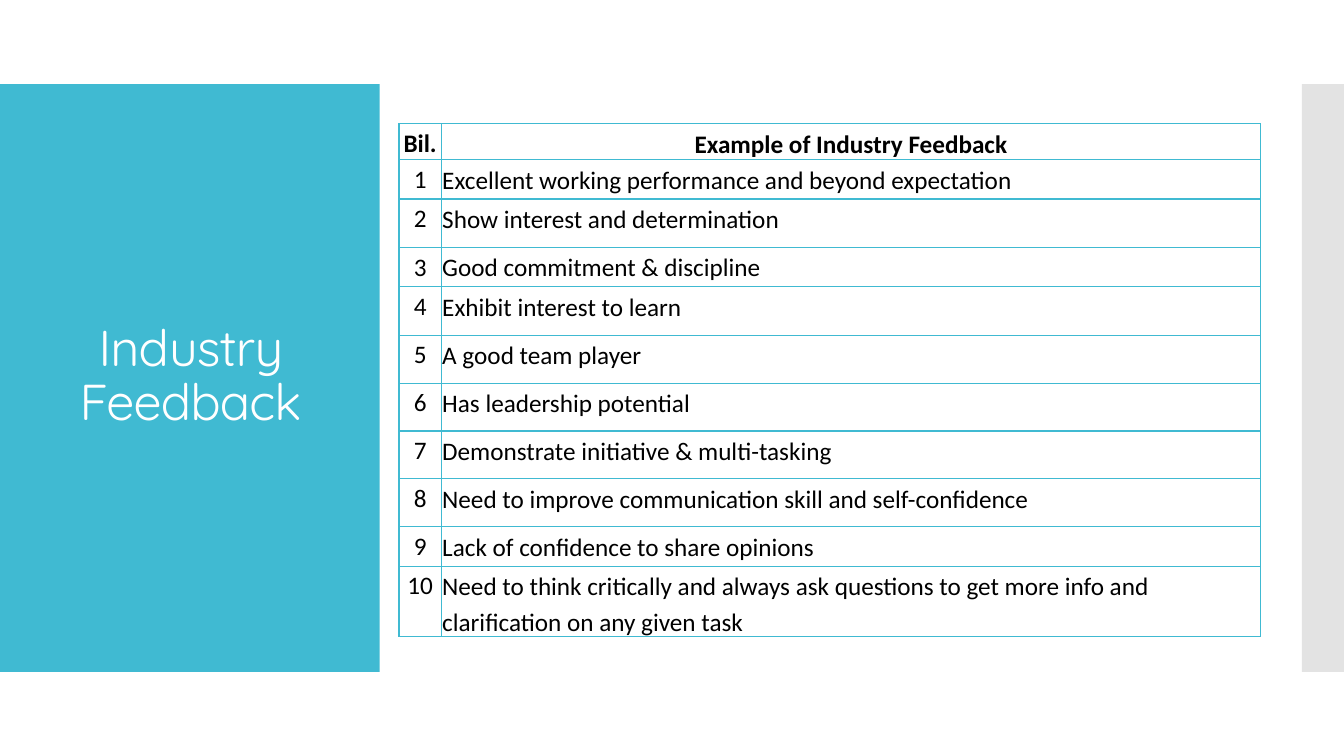
from dataclasses import dataclass

from lxml import etree
from pptx import Presentation
from pptx.dml.color import RGBColor
from pptx.enum.shapes import MSO_SHAPE
from pptx.enum.text import MSO_ANCHOR, PP_ALIGN
from pptx.oxml.ns import qn
from pptx.util import Pt

RECTANGLE = MSO_SHAPE.RECTANGLE
TOP, MIDDLE, BOTTOM = MSO_ANCHOR.TOP, MSO_ANCHOR.MIDDLE, MSO_ANCHOR.BOTTOM
LEFT, CENTER = PP_ALIGN.LEFT, PP_ALIGN.CENTER


@dataclass(frozen=True)
class Theme:
    accent: str = "40BAD2"
    edge: str = "C8C8C8"
    light: str = "FFFFFF"
    ink: str = "000000"
    title_font: str = "Quicksand"
    body_font: str = "Calibri"
    title_size: int = 36
    body_size: int = 18


THEME = Theme()
SLIDE_SIZE = (960, 540)
BAND_TOP, BAND_HEIGHT = 60, 420
COLUMN_WIDTHS = (30.24, 585.36)
ROW_HEIGHTS = (24, 28.2, 34.6, 28.2, 34.6, 34.2, 34.2, 34.2, 34.2, 28.2, 38)
HEADER = ("Bil.", "Example of Industry Feedback")
FEEDBACK = (
    "Excellent working performance and beyond expectation",
    "Show interest and determination",
    "Good commitment & discipline",
    "Exhibit interest to learn",
    "A good team player",
    "Has leadership potential",
    "Demonstrate initiative & multi-tasking",
    "Need to improve communication skill and self-confidence",
    "Lack of confidence to share opinions",
    "Need to think critically and always ask questions to get more info and "
    "clarification on any given task",
)


def apply_format(target, values):
    for name, value in values.items():
        setattr(target, name, value)


def write_text(frame, text, color, alignment, line_spacing, font):
    para = frame.paragraphs[0]
    apply_format(para, {"alignment": alignment, "line_spacing": line_spacing})
    span = para.add_run()
    span.text = text
    apply_format(span.font, font)
    span.font.color.rgb = RGBColor.from_string(color)
    return span


def add_band(page, left, width, color, opacity=100):
    band = page.shapes.add_shape(
        RECTANGLE, Pt(left), Pt(BAND_TOP), Pt(width), Pt(BAND_HEIGHT)
    )
    band.shadow.inherit = False
    band.fill.solid()
    band.fill.fore_color.rgb = RGBColor.from_string(color)
    band.line.fill.background()
    if opacity < 100:
        color_node = band.fill._xPr.find(qn("a:solidFill"))[0]
        etree.SubElement(color_node, qn("a:alpha"), val=str(opacity * 1000))


def add_title(page, text):
    box = page.shapes.add_textbox(Pt(20.16), Pt(88.56), Pt(231.84), Pt(362.16))
    apply_format(box.text_frame, {"word_wrap": True, "vertical_anchor": MIDDLE})
    span = write_text(
        box.text_frame, text, THEME.light, CENTER, 0.9,
        {"name": THEME.title_font, "size": Pt(THEME.title_size)},
    )
    span.font._element.set("spc", "-60")


def add_borders(cell):
    properties = cell._tc.get_or_add_tcPr()
    for index, side in enumerate(("lnL", "lnR", "lnT", "lnB")):
        border = etree.Element(qn(f"a:{side}"), w=str(Pt(1)))
        fill = etree.SubElement(border, qn("a:solidFill"))
        etree.SubElement(fill, qn("a:srgbClr"), val=THEME.accent)
        properties.insert(index, border)


def fill_cell(cell, text, alignment, anchor, bold, inset):
    cell.fill.background()
    apply_format(cell, {
        "margin_left": Pt(inset), "margin_right": Pt(inset),
        "margin_top": Pt(inset), "margin_bottom": Pt(0),
        "vertical_anchor": anchor,
    })
    write_text(
        cell.text_frame, text, THEME.ink, alignment, 1.15,
        {"name": THEME.body_font, "size": Pt(THEME.body_size), "bold": bold},
    )
    add_borders(cell)


def add_feedback_table(page):
    rows = [HEADER] + [(str(n), text) for n, text in enumerate(FEEDBACK, 1)]
    table = page.shapes.add_table(
        len(rows), len(HEADER), Pt(285), Pt(88.4),
        Pt(sum(COLUMN_WIDTHS)), Pt(sum(ROW_HEIGHTS)),
    ).table
    apply_format(table, {"first_row": False, "horz_banding": False})
    for column, width in zip(table.columns, COLUMN_WIDTHS):
        column.width = Pt(width)
    for index, (row, height, (number, text)) in enumerate(
        zip(table.rows, ROW_HEIGHTS, rows)
    ):
        row.height = Pt(height)
        is_header = index == 0
        fill_cell(row.cells[0], number, CENTER, TOP, is_header, 0)
        fill_cell(
            row.cells[1], text, CENTER if is_header else LEFT,
            BOTTOM if is_header else TOP, is_header, 0.7,
        )


def main():
    deck = Presentation()
    width, height = SLIDE_SIZE
    apply_format(deck, {"slide_width": Pt(width), "slide_height": Pt(height)})
    page = deck.slides.add_slide(deck.slide_layouts[6])
    add_band(page, 0, 271.2, THEME.accent)
    add_band(page, 930, 30, THEME.edge, opacity=50)
    add_title(page, "Industry Feedback")
    add_feedback_table(page)
    deck.save("out.pptx")


if __name__ == "__main__":
    main()
